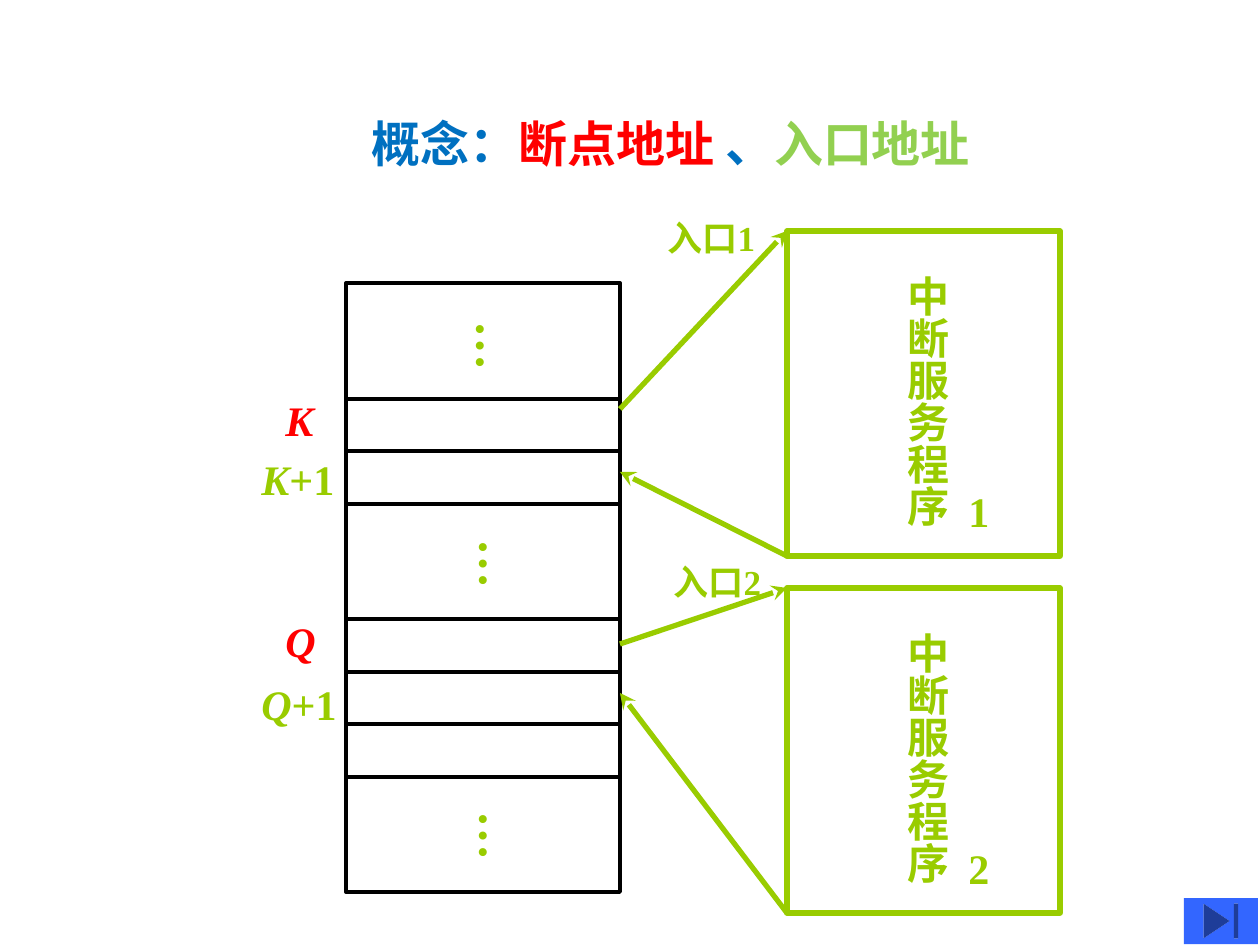
from dataclasses import dataclass
from itertools import pairwise

from pptx import Presentation
from pptx.dml.color import RGBColor as RGB
from pptx.enum.shapes import MSO_CONNECTOR as CONNECTOR, MSO_SHAPE as SHAPE
from pptx.enum.text import MSO_ANCHOR as ANCHOR, MSO_AUTO_SIZE as AUTO_SIZE, PP_ALIGN as ALIGN
from pptx.oxml.ns import qn
from pptx.util import Inches, Pt
from lxml.etree import SubElement

PX_PER_INCH = 126


@dataclass(frozen=True)
class Theme:
    font: str = "Times New Roman"
    green: RGB = RGB(0x99, 0xCC, 0x00)
    red: RGB = RGB(0xFF, 0x00, 0x00)
    blue: RGB = RGB(0x00, 0x70, 0xC0)
    light_green: RGB = RGB(0x92, 0xD0, 0x50)
    black: RGB = RGB(0x00, 0x00, 0x00)
    button: RGB = RGB(0x33, 0x66, 0xFF)
    large: int = 28
    label: int = 24
    small: int = 20
    memory_line: float = 2.25
    flow_line: float = 3


THEME = Theme()
MEMORY_LEFT, MEMORY_RIGHT = 346, 620
MEMORY_EDGES = (283, 399, 451, 504, 619, 672, 724, 777, 892)
ROUTINE_LEFT, ROUTINE_WIDTH, ROUTINE_HEIGHT = 787, 273, 325


def px(*lengths):
    return [Inches(length / PX_PER_INCH) for length in lengths]


def set_all(target, values):
    for name, value in values.items():
        setattr(target, name, value)


def fill_text(frame, runs, size, vertical=False, wrap=False):
    """Write runs of (text, colour, italic) into one left-aligned paragraph."""
    long_side, short_side = Inches(0.1), Inches(0.05)
    across, down = (short_side, long_side) if vertical else (long_side, short_side)
    set_all(frame, dict(
        word_wrap=wrap, auto_size=AUTO_SIZE.NONE, vertical_anchor=ANCHOR.TOP,
        margin_left=across, margin_right=across, margin_top=down, margin_bottom=down,
    ))
    if vertical:
        frame._txBody.bodyPr.set("vert", "eaVert")
    paragraph = frame.paragraphs[0]
    paragraph.alignment = ALIGN.LEFT
    for text, color, italic in runs:
        run = paragraph.add_run()
        run.text = text
        set_all(run.font, dict(name=THEME.font, size=Pt(size), bold=True, italic=italic))
        run.font.color.rgb = color


def add_text(slide, box, runs, size, **layout):
    textbox = slide.shapes.add_textbox(*px(*box))
    fill_text(textbox.text_frame, runs, size, **layout)


def add_frame(slide, box, color, width):
    frame = slide.shapes.add_shape(SHAPE.RECTANGLE, *px(*box))
    frame.shadow.inherit = False
    frame.fill.background()
    frame.line.color.rgb = color
    frame.line.width = Pt(width)


def add_arrow(slide, start, end):
    arrow = slide.shapes.add_connector(CONNECTOR.STRAIGHT, *px(*start, *end))
    arrow.line.color.rgb = THEME.green
    arrow.line.width = Pt(THEME.flow_line)
    SubElement(arrow.line._get_or_add_ln(), qn("a:tailEnd"), type="stealth")
    SubElement(arrow._element.spPr, qn("a:effectLst"))


def add_title(slide):
    title = slide.shapes.title
    set_all(title, dict(zip(("left", "top", "width", "height"), px(359, 107, 645, 72))))
    runs = [
        ("概念：", THEME.blue, False),
        ("断点地址", THEME.red, False),
        (" 、", THEME.blue, False),
        ("入口地址", THEME.light_green, False),
    ]
    fill_text(title.text_frame, runs, THEME.large, wrap=True)


def add_memory(slide):
    for top, bottom in pairwise(MEMORY_EDGES):
        box = (MEMORY_LEFT, top, MEMORY_RIGHT - MEMORY_LEFT, bottom - top)
        add_frame(slide, box, THEME.black, THEME.memory_line)
    for left, top in ((449, 309), (452, 527), (452, 799)):
        add_text(slide, (left, top, 83, 62), [("…", THEME.green, False)],
                 THEME.large, vertical=True)


def add_addresses(slide, letter, top, next_top):
    """Label a breakpoint address and the address after it."""
    add_text(slide, (273, top, 54, 63), [(letter, THEME.red, True)], THEME.label)
    add_text(slide, (249, next_top, 99, 63),
             [(letter, THEME.green, True), ("+1", THEME.green, False)], THEME.label)


def add_routine(slide, number, top, entry, call_y, return_y):
    """Draw a service routine with its entry label, call and return arrows."""
    add_frame(slide, (ROUTINE_LEFT, top, ROUTINE_WIDTH, ROUTINE_HEIGHT),
              THEME.green, THEME.flow_line)
    add_text(slide, (883, top + 32, 76, 265), [("中断服务程序", THEME.green, False)],
             THEME.label, vertical=True)
    add_text(slide, (956, top + 248, 45, 63), [(number, THEME.green, False)], THEME.label)
    add_text(slide, (*entry, 121, 55), [("入口" + number, THEME.green, False)], THEME.small)
    add_arrow(slide, (MEMORY_RIGHT, call_y), (ROUTINE_LEFT, top))
    add_arrow(slide, (ROUTINE_LEFT, top + ROUTINE_HEIGHT), (MEMORY_RIGHT, return_y))


def add_end_button(slide):
    button = slide.shapes.add_shape(SHAPE.ACTION_BUTTON_END, *px(1184, 898, 74, 46))
    button.shadow.inherit = False
    button.fill.solid()
    button.fill.fore_color.rgb = THEME.button
    button.line.fill.background()


def main():
    deck = Presentation()
    deck.slide_width, deck.slide_height = px(1260, 945)
    slide = deck.slides.add_slide(deck.slide_layouts[5])
    add_title(slide)
    add_memory(slide)
    add_addresses(slide, "K", 388, 447)
    add_addresses(slide, "Q", 609, 672)
    add_routine(slide, "1", 231, (655, 210), 409, 472)
    add_routine(slide, "2", 588, (661, 554), 644, 693)
    add_end_button(slide)
    deck.save("out.pptx")


if __name__ == "__main__":
    main()
